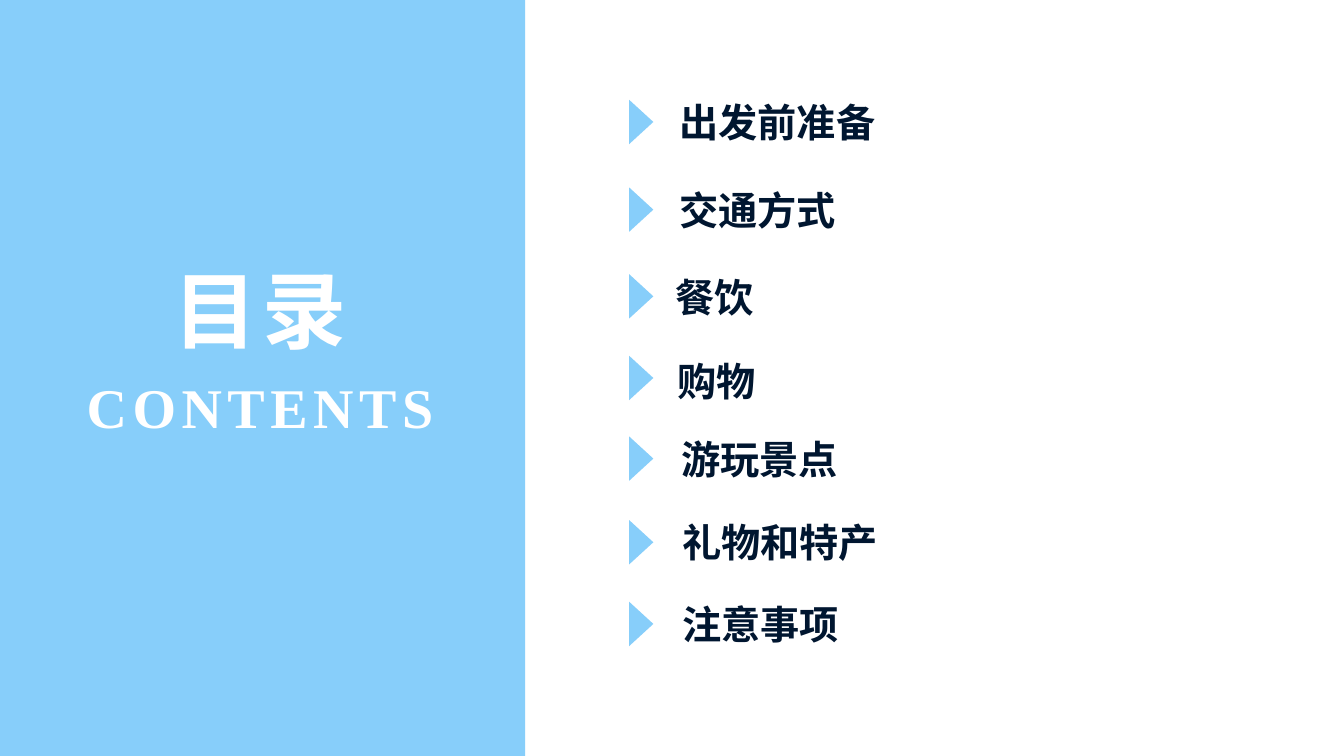
from lxml import etree
from pptx import Presentation
from pptx.dml.color import RGBColor
from pptx.enum import shapes, text
from pptx.oxml.ns import qn
from pptx.util import Inches, Pt

SKY, NAVY, WHITE = "87CEFA", "001630", "FFFFFF"
CJK, SERIF = "Noto Sans CJK SC", "Times New Roman"

# label, left and top of its text, top of its marker
ENTRIES = [
    ("出发前准备", 6.64, 0.96, 1.09),
    ("交通方式", 6.64, 1.83, 1.96),
    ("餐饮", 6.6, 2.69, 2.82),
    ("购物", 6.62, 3.53, 3.63),
    ("游玩景点", 6.66, 4.3, 4.43),
    ("礼物和特产", 6.67, 5.13, 5.26),
    ("注意事项", 6.67, 5.94, 6.07),
]
MARKER_LEFT, TEXT_RIGHT = 6.14, 12.33


def color(value):
    return RGBColor.from_string(value)


def add_filled(parent, kind, box, fill):
    sp = parent.add_shape(kind, *map(Inches, box))
    sp.shadow.inherit = False
    sp.fill.solid()
    sp.fill.fore_color.rgb = color(fill)
    sp.line.fill.background()
    return sp


def add_label(parent, box, words, size, font, ink, align=text.PP_ALIGN.LEFT,
              spacing=0, insets=(0.1, 0.05)):
    """Add one bold line, centred vertically; spacing is in points."""
    tf = parent.add_textbox(*map(Inches, box)).text_frame
    tf.word_wrap = True
    tf.vertical_anchor = text.MSO_ANCHOR.MIDDLE
    tf.margin_left = tf.margin_right = Inches(insets[0])
    tf.margin_top = tf.margin_bottom = Inches(insets[1])
    p = tf.paragraphs[0]
    p.alignment = align
    r = p.add_run()
    r.text = words
    r.font.size = Pt(size)
    r.font.bold = True
    r.font.color.rgb = color(ink)
    r.font.name = font
    rPr = r.font._element
    etree.SubElement(rPr, qn("a:ea")).set("typeface", font)
    if spacing:
        rPr.set("spc", str(spacing * 100))


def add_title_panel(slide, left, top, width, height):
    add_filled(slide.shapes, shapes.MSO_SHAPE.RECTANGLE,
               (left, top, width, height), SKY)
    style = dict(ink=WHITE, align=text.PP_ALIGN.CENTER, insets=(0.12, 0.08))
    add_label(slide.shapes, (left + 0.58, top + 2.69, 4, 0.74),
              "目录", 60, CJK, spacing=3, **style)
    add_label(slide.shapes, (left + 0.18, top + 3.66, 4.8, 0.74),
              "CONTENTS", 40, SERIF, spacing=4, **style)


def add_entry(slide, words, left, top, marker_top):
    group = slide.shapes.add_group_shape()
    add_label(group.shapes, (left, top, TEXT_RIGHT - left, 0.5),
              words, 28, CJK, NAVY)
    marker = add_filled(group.shapes, shapes.MSO_SHAPE.ISOSCELES_TRIANGLE,
                        (MARKER_LEFT, marker_top, 0.44, 0.24), SKY)
    marker.rotation = 90


def main():
    prs = Presentation()
    prs.slide_width, prs.slide_height = Inches(13.33), Inches(7.5)
    slide = prs.slides.add_slide(prs.slide_layouts[6])
    add_title_panel(slide, 0, 0, 5.21, 7.5)
    for entry in ENTRIES:
        add_entry(slide, *entry)
    prs.save("out.pptx")


if __name__ == "__main__":
    main()
